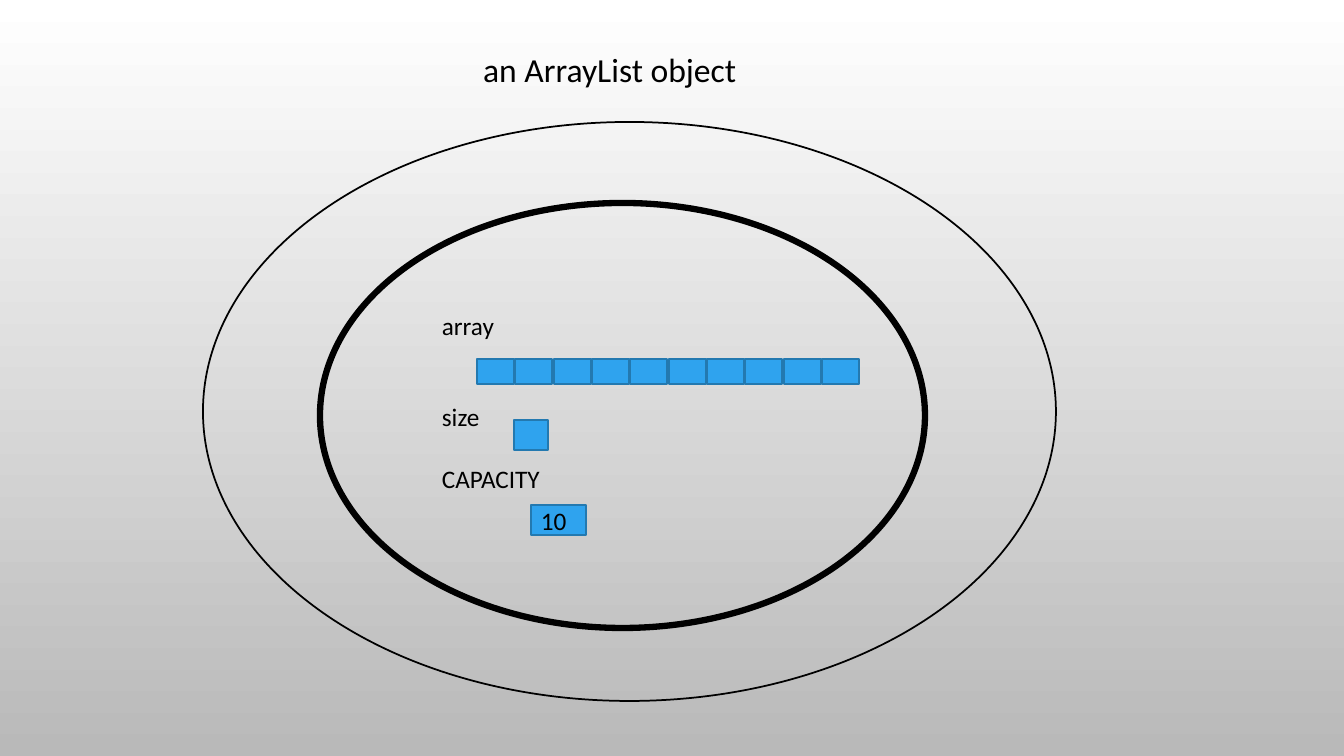
"""Build a slide showing the fields inside an ArrayList object."""
from pptx import Presentation
from pptx.dml.color import RGBColor
from pptx.enum.shapes import MSO_SHAPE as Shape
from pptx.enum.text import MSO_ANCHOR as Anchor, MSO_AUTO_SIZE as AutoSize, PP_ALIGN as Align
from pptx.util import Emu, Pt

PX = 12192000 / 1344
BLACK = "000000"
CELL_COUNT = 10


def color(value):
    return RGBColor.from_string(value)


def add_outline(shapes, kind, bounds, line, width, fill=None):
    shape = shapes.add_shape(kind, *[Emu(round(n * PX)) for n in bounds])
    shape.shadow.inherit = False
    if fill:
        shape.fill.solid()
        shape.fill.fore_color.rgb = color(fill)
    else:
        shape.fill.background()
    shape.line.color.rgb = color(line)
    shape.line.width = Pt(width)
    return shape


deck = Presentation()
deck.slide_width, deck.slide_height = Emu(round(1344 * PX)), Emu(round(756 * PX))
page = deck.slides.add_slide(deck.slide_layouts[5])

backdrop = page.background.fill
backdrop.gradient()
backdrop.gradient_angle = 270
for stop, position, shade in zip(backdrop.gradient_stops, (0, 1), ("FFFFFF", "B9B9B9")):
    stop.position = position
    stop.color.rgb = color(shade)

fields = page.shapes.add_group_shape().shapes
labels = fields.add_textbox(*[Emu(round(n * PX)) for n in (432, 305, 122, 224)])
labels.text_frame.text = "array\nsize\nCAPACITY"
for para, gap in zip(labels.text_frame.paragraphs, (0, 44, 22)):
    para.space_before = Pt(gap)

cells = [(477 + round(i * 345 / (CELL_COUNT - 1)), 359, 37, 25) for i in range(CELL_COUNT)]
size_cell = (514, 420, 34, 30)
capacity_cell = (531, 505, 55, 30)
for bounds in cells + [size_cell, capacity_cell]:
    capacity = add_outline(fields, Shape.RECTANGLE, bounds, "2379B0", 1.25, "2FA3EE")
capacity.text_frame.text = "10"

for bounds, width in (((320, 203, 605, 425), 4.5), ((203, 122, 853, 579), 1.25)):
    add_outline(page.shapes, Shape.OVAL, bounds, BLACK, width)

title = page.shapes.title
title.left, title.top, title.width, title.height = [Emu(round(n * PX)) for n in (473, 44, 274, 50)]
title.text_frame.text = "an ArrayList object"

for box, size, anchor in (
    (labels, 18, Anchor.TOP),
    (capacity, 18, Anchor.MIDDLE),
    (title, 24, Anchor.TOP),
):
    frame = box.text_frame
    frame.word_wrap = False
    frame.auto_size = AutoSize.NONE
    frame.vertical_anchor = anchor
    for para in frame.paragraphs:
        para.alignment = Align.LEFT
        para.font.name = "Calibri"
        para.font.size = Pt(size)
        para.font.color.rgb = color(BLACK)

deck.save("out.pptx")
